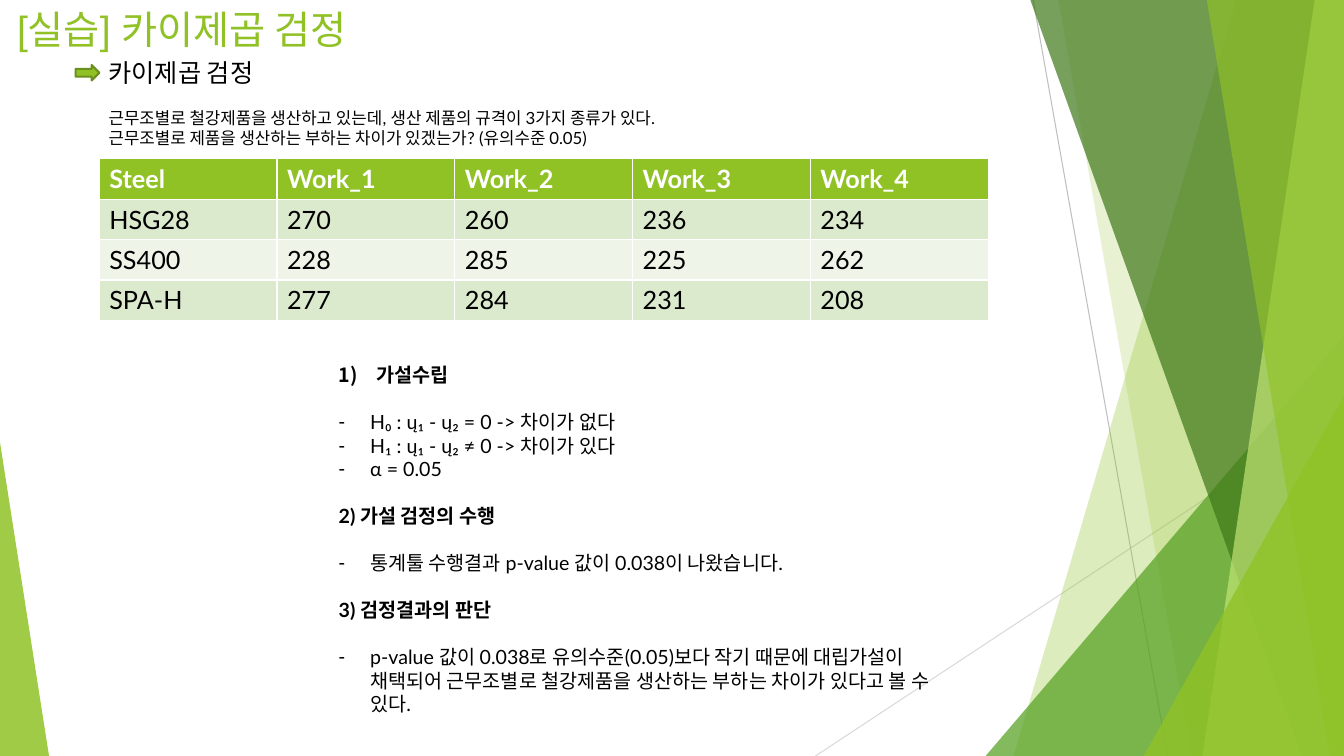
from lxml.etree import SubElement
from pptx import Presentation
from pptx.dml.color import RGBColor
from pptx.enum.shapes import MSO_CONNECTOR as CONN, MSO_SHAPE as SHAPE
from pptx.enum.text import MSO_ANCHOR as ANCHOR, MSO_AUTO_SIZE as AUTO, PP_ALIGN as ALIGN
from pptx.oxml.ns import qn
from pptx.util import Pt

W, H = 960, 540
COLORS = {
    "lime": "90C226", "green": "54A021", "forest": "3F7819", "pale": "C0E474",
    "edge": "6B901C", "black": "000000", "white": "FFFFFF",
    "band1": "DBE9CD", "band2": "EEF4E8", "gray": "BFBFBF", "light_gray": "D9D9D9",
}
STEEL = [
    ["Steel", "Work_1", "Work_2", "Work_3", "Work_4"],
    ["HSG28", "270", "260", "236", "234"],
    ["SS400", "228", "285", "225", "262"],
    ["SPA-H", "277", "284", "231", "208"],
]
GAP = 16.8
# text, bullet, space before
STEPS = [
    ("가설수립", "1)", 0),
    ("H₀ : ų₁ - ų₂ = 0 -> 차이가 없다", "-", GAP),
    ("H₁ : ų₁ - ų₂ ≠ 0 -> 차이가 있다", "-", 0),
    ("α = 0.05", "-", 0),
    ("2) 가설 검정의 수행", None, GAP),
    ("통계툴 수행결과 p-value 값이 0.038이 나왔습니다.", "-", GAP),
    ("3) 검정결과의 판단", None, GAP),
    ("p-value 값이 0.038로 유의수준(0.05)보다 작기 때문에 대립가설이 채택되어 "
     "근무조별로 철강제품을 생산하는 부하는 차이가 있다고 볼 수 있다.", "-", GAP),
]


def rgb(name):
    """Return the named colour."""
    return RGBColor.from_string(COLORS[name])


def write(p, text, size=14, color="black", bold=False, font="Lato", before=0, bullet=None):
    """Write one formatted paragraph."""
    p.alignment = ALIGN.LEFT
    p.space_before = Pt(before)
    r = p.add_run()
    r.text = text
    r.font.size, r.font.bold, r.font.name = Pt(size), bold, font
    r.font.color.rgb = rgb(color)
    indent = {"1)": 27, "-": 22.5}.get(bullet, 0)
    pPr = p._p.get_or_add_pPr()
    pPr.set("marL", str(Pt(indent)))
    pPr.set("indent", str(-Pt(indent)))
    if bullet == "1)":
        SubElement(pPr, qn("a:buAutoNum"), type="arabicParenR")
    elif bullet:
        SubElement(pPr, qn("a:buChar"), char=bullet)
    else:
        SubElement(pPr, qn("a:buNone"))


def place(sp, left, top, width, height):
    """Place a text shape, bring it to the front and return its frame."""
    sp.left, sp.top, sp.width, sp.height = map(Pt, (left, top, width, height))
    sp.element.getparent().append(sp.element)
    tf = sp.text_frame
    tf.word_wrap, tf.auto_size, tf.vertical_anchor = True, AUTO.NONE, ANCHOR.TOP
    return tf


def write_lines(tf, lines):
    """Fill a frame with (text, format) pairs, one paragraph each."""
    for i, (text, fmt) in enumerate(lines):
        write(tf.add_paragraph() if i else tf.paragraphs[0], text, **fmt)


def add_line(s, x1, y1, x2, y2, color):
    """Add a thin decorative line."""
    c = s.shapes.add_connector(CONN.STRAIGHT, *map(Pt, (x1, y1, x2, y2)))
    c.line.color.rgb, c.line.width = rgb(color), Pt(0.75)
    SubElement(c.element.spPr, qn("a:effectLst"))


def add_facet(s, points, color, opacity):
    """Add a translucent polygon."""
    builder = s.shapes.build_freeform(*points[0], scale=Pt(1))
    builder.add_line_segments(points[1:])
    sp = builder.convert_to_shape()
    sp.shadow.inherit = False
    sp.fill.solid()
    sp.fill.fore_color.rgb = rgb(color)
    clr = sp.element.spPr.find(".//" + qn("a:srgbClr"))
    SubElement(clr, qn("a:alpha"), val=str(opacity * 1000))
    sp.line.fill.background()


def add_backdrop(s):
    """Draw the facets along the slide's sides."""
    add_line(s, 582.5, H, W, 291, "light_gray")
    add_line(s, 738, 0, 834, H, "gray")

    def band(top_x, bottom_x):
        return [(top_x, 0), (bottom_x, H), (W, H), (W, 0)]

    def corner(x, y):
        return [(x, H), (W, y), (W, H)]

    for points, color, opacity in [
        (band(883, 724), "lime", 30),
        (band(756, 851), "lime", 20),
        (corner(703.5, 240), "green", 72),
        (band(736, 930), "forest", 70),
        (band(939, 859), "pale", 70),
        (band(862, 950), "lime", 65),
        (corner(817, 283), "lime", 80),
        ([(0, 316), (35, H), (0, H)], "lime", 85),
    ]:
        add_facet(s, points, color, opacity)


def add_arrow(s):
    """Add the arrow that marks the topic."""
    sp = s.shapes.add_shape(SHAPE.RIGHT_ARROW, Pt(54), Pt(46.5), Pt(17), Pt(11))
    sp.shadow.inherit = False
    sp.fill.solid()
    sp.fill.fore_color.rgb = rgb("lime")
    sp.line.color.rgb, sp.line.width = rgb("edge"), Pt(1.5)


def add_steel_table(s):
    """Add the table of output per steel grade and work shift."""
    rows, cols = len(STEEL), len(STEEL[0])
    table = s.shapes.add_table(rows, cols, Pt(70.9), Pt(113.5), Pt(635), Pt(28.8 * rows)).table
    for i, row in enumerate(STEEL):
        fill = ("band1" if i % 2 else "band2") if i else "lime"
        for j, value in enumerate(row):
            cell = table.cell(i, j)
            cell.fill.solid()
            cell.fill.fore_color.rgb = rgb(fill)
            write(cell.text_frame.paragraphs[0], value, size=18,
                  color="black" if i else "white", bold=i == 0)


def main():
    """Build and save the slide."""
    prs = Presentation()
    prs.slide_width, prs.slide_height = Pt(W), Pt(H)
    s = prs.slides.add_slide(prs.slide_layouts[1])
    title, body = s.placeholders
    add_backdrop(s)
    write_lines(place(title, 5, 0, 677, 104),
                [("[실습] 카이제곱 검정", dict(size=28, color="lime", font="Arial"))])
    intro = s.shapes.add_textbox(0, 0, 0, 0)
    write_lines(place(intro, 70.5, 37.5, 676, 73), [
        ("카이제곱 검정", dict(size=18)),
        ("근무조별로 철강제품을 생산하고 있는데, 생산 제품의 규격이 3가지 종류가 있다.",
         dict(size=12, before=14.4)),
        ("근무조별로 제품을 생산하는 부하는 차이가 있겠는가? (유의수준 0.05)", dict(size=12)),
    ])
    add_arrow(s)
    add_steel_table(s)
    write_lines(place(body, 234.7, 255.6, 447, 262), [
        (text, dict(bullet=bullet, before=before, bold=bullet != "-"))
        for text, bullet, before in STEPS
    ])
    prs.save("out.pptx")


main()
